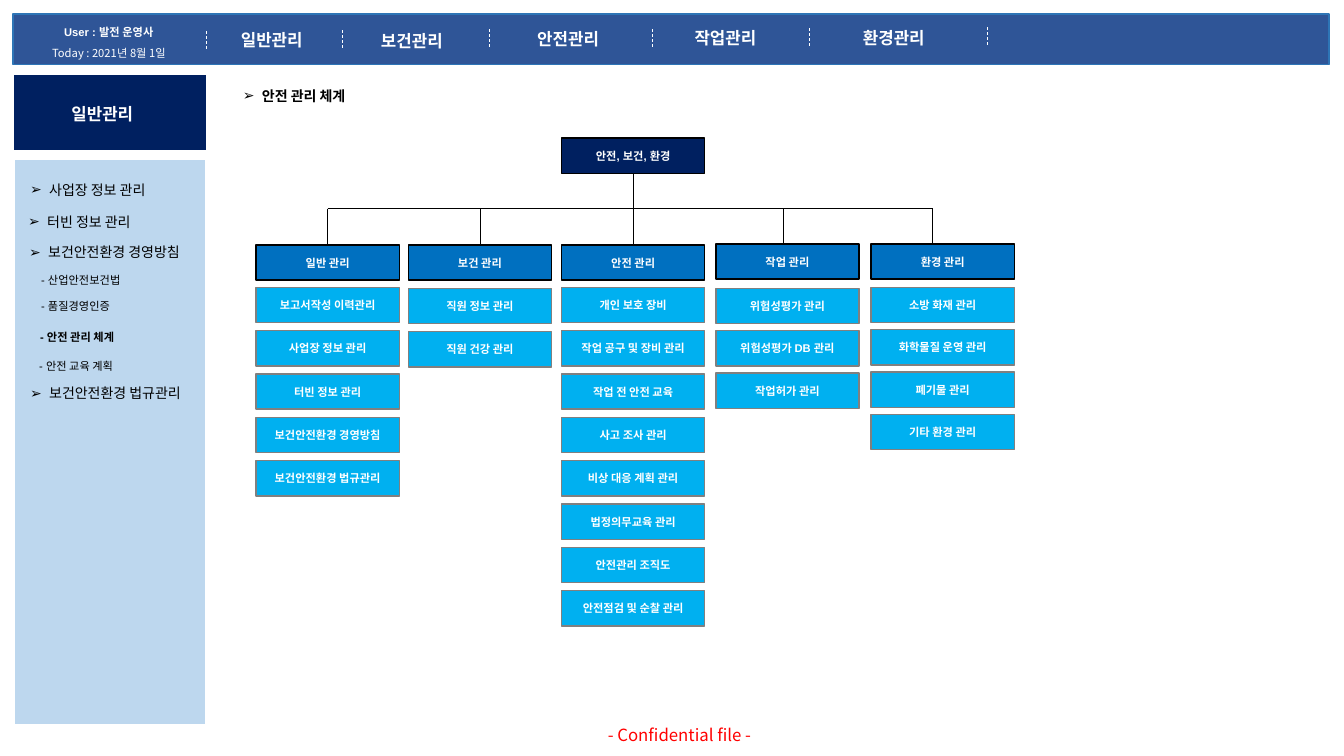
"""Build the safety management structure slide."""
from dataclasses import dataclass

from lxml import etree
from pptx import Presentation
from pptx.dml.color import RGBColor
from pptx.enum.dml import MSO_LINE_DASH_STYLE as Dash
from pptx.enum.shapes import MSO_CONNECTOR as Conn, MSO_SHAPE as Shape
from pptx.enum.text import MSO_ANCHOR as Anchor, MSO_AUTO_SIZE as AutoSize, PP_ALIGN as Align
from pptx.oxml.ns import qn
from pptx.util import Inches, Pt


@dataclass(frozen=True)
class Theme:
    navy: str = "002060"
    bar: str = "2F5597"
    bar_edge: str = "2E75B6"
    side: str = "BDD7EE"
    head: str = "0070C0"
    item: str = "00B0F0"
    grey: str = "808080"
    black: str = "000000"
    white: str = "FFFFFF"
    red: str = "FF0000"
    latin: str = "Arial"
    korean: str = "Noto Sans CJK KR"
    small: int = 8
    body: int = 10
    title: int = 12


@dataclass(frozen=True)
class Style:
    size: int
    color: str
    bold: bool = False
    font: str = "Arial"


@dataclass(frozen=True)
class Label:
    text: str
    x: float
    y: float
    w: float
    h: float
    style: Style
    bullet: bool = False


@dataclass(frozen=True)
class Divider:
    x: float
    y: float


@dataclass(frozen=True)
class Branch:
    name: str
    x: float
    y: float
    drop: float
    first: float
    pitch: float
    items: tuple[str, ...]


T = Theme()
NAV = Style(T.title, T.white, True)
BODY = Style(T.body, T.black)
SUB = Style(T.small, T.black)
BOX = Style(T.small, T.white, True)
BOX_W, BOX_H = 1.42, 0.35
ROOT_X, ROOT_Y, TRUNK_X, BUS_Y, DROP_END = 5.57, 1.37, 6.28, 2.07, 2.43

LABELS = (
    Label("안전 관리 체계", 2.31, 0.82, 5.4, 0.27, Style(T.body, T.black, True), True),
    Label("일반관리", 0.61, 0.98, 0.98, 0.3, NAV),
    Label("사업장 정보 관리", 0.2, 1.75, 1.54, 0.27, BODY, True),
    Label("터빈 정보 관리", 0.18, 2.07, 1.54, 0.27, BODY, True),
    Label("보건안전환경 경영방침", 0.19, 2.37, 1.9, 0.27, BODY, True),
    Label("- 산업안전보건법", 0.31, 2.66, 1.9, 0.24, SUB),
    Label("- 품질경영인증", 0.31, 2.92, 1.9, 0.24, SUB),
    Label("- 안전 관리 체계", 0.3, 3.23, 1.9, 0.24, Style(T.small, T.black, True)),
    Label("- 안전 교육 계획", 0.29, 3.52, 1.9, 0.24, SUB),
    Label("보건안전환경 법규관리", 0.2, 3.77, 1.9, 0.27, BODY, True),
    Label("일반관리", 2.29, 0.25, 0.98, 0.3, NAV),
    Label("보건관리", 3.68, 0.26, 0.98, 0.3, NAV),
    Label("안전관리", 5.23, 0.24, 0.98, 0.3, NAV),
    Label("작업관리", 6.79, 0.23, 1.53, 0.3, NAV),
    Label("환경관리", 8.46, 0.23, 0.98, 0.3, NAV),
    Label("- Confidential file -", 5.93, 7.14, 3.17, 0.3, Style(T.title, T.red, font=T.korean)),
)
DIVIDERS = (Divider(2.05, 0.31), Divider(3.4, 0.3), Divider(4.85, 0.29),
            Divider(6.47, 0.29), Divider(8.03, 0.28), Divider(9.79, 0.27))
BRANCHES = (
    Branch("일반 관리", 2.54, 2.43, 3.25, 2.85, 0.43,
           ("보고서작성 이력관리", "사업장 정보 관리", "터빈 정보 관리",
            "보건안전환경 경영방침", "보건안전환경 법규관리")),
    Branch("보건 관리", 4.05, 2.43, 4.76, 2.86, 0.43, ("직원 정보 관리", "직원 건강 관리")),
    Branch("안전 관리", 5.57, 2.43, TRUNK_X, 2.85, 0.43,
           ("개인 보호 장비", "작업 공구 및 장비 관리", "작업 전 안전 교육", "사고 조사 관리",
            "비상 대응 계획 관리", "법정의무교육 관리", "안전관리 조직도", "안전점검 및 순찰 관리")),
    Branch("작업 관리", 7.1, 2.42, 7.77, 2.86, 0.42,
           ("위험성평가 관리", "위험성평가 DB 관리", "작업허가 관리")),
    Branch("환경 관리", 8.64, 2.42, 9.25, 2.85, 0.42,
           ("소방 화재 관리", "화학물질 운영 관리", "폐기물 관리", "기타 환경 관리")),
)


def add_run(p, text: str, style: Style) -> None:
    """Append one styled run."""
    r = p.add_run()
    r.text = text
    r.font.size = Pt(style.size)
    r.font.bold = style.bold
    r.font.color.rgb = RGBColor.from_string(style.color)
    r.font.name = style.font
    etree.SubElement(r.font._element, qn("a:ea")).set("typeface", T.korean)


def add_bullet(p) -> None:
    """Give a paragraph an arrow bullet with a hanging indent."""
    pPr = p._p.get_or_add_pPr()
    pPr.set("marL", str(Inches(0.19)))
    pPr.set("indent", str(Inches(-0.19)))
    etree.SubElement(pPr, qn("a:buFont")).set("typeface", T.latin)
    etree.SubElement(pPr, qn("a:buChar")).set("char", "➢")


def add_rect(s, x: float, y: float, w: float, h: float, fill: str, edge: str, width: float):
    """Draw a filled rectangle and return it."""
    sp = s.shapes.add_shape(Shape.RECTANGLE, Inches(x), Inches(y), Inches(w), Inches(h))
    sp.shadow.inherit = False
    sp.fill.solid()
    sp.fill.fore_color.rgb = RGBColor.from_string(fill)
    sp.line.color.rgb = RGBColor.from_string(edge)
    sp.line.width = Pt(width)
    return sp


def add_box(s, text: str, x: float, y: float, fill: str, edge: str) -> None:
    """Draw one box of the chart."""
    tf = add_rect(s, x, y, BOX_W, BOX_H, fill, edge, 1).text_frame
    tf.vertical_anchor = Anchor.MIDDLE
    p = tf.paragraphs[0]
    p.alignment = Align.CENTER
    add_run(p, text, BOX)


def add_line(s, x1: float, y1: float, x2: float, y2: float, color: str, dashed: bool = False) -> None:
    """Draw a thin straight line."""
    sp = s.shapes.add_connector(Conn.STRAIGHT, Inches(x1), Inches(y1), Inches(x2), Inches(y2))
    sp.line.color.rgb = RGBColor.from_string(color)
    sp.line.width = Pt(0.5)
    if dashed:
        sp.line.dash_style = Dash.DASH
    etree.SubElement(sp._element.spPr, qn("a:effectLst"))


def add_frame(s, x: float, y: float, w: float, h: float):
    """Add a wrapping text box and return its frame."""
    tf = s.shapes.add_textbox(Inches(x), Inches(y), Inches(w), Inches(h)).text_frame
    tf.word_wrap = True
    tf.auto_size = AutoSize.SHAPE_TO_FIT_TEXT
    return tf


def add_label(s, label: Label) -> None:
    """Add a one-line label."""
    p = add_frame(s, label.x, label.y, label.w, label.h).paragraphs[0]
    if label.bullet:
        add_bullet(p)
    add_run(p, label.text, label.style)


def add_user(s) -> None:
    """Add the user and date lines."""
    tf = add_frame(s, 0.31, 0.14, 1.54, 0.48)
    lines = (("User : 발전 운영사", BOX),
             ("Today : 2021년 8월 1일", Style(T.small, T.white, font=T.korean)))
    for i, (text, style) in enumerate(lines):
        p = tf.add_paragraph() if i else tf.paragraphs[0]
        p.alignment = Align.CENTER
        p.line_spacing = 1.5
        add_run(p, text, style)


def add_branch(s, branch: Branch) -> None:
    """Draw a branch with its drop line, heading and items."""
    add_line(s, branch.drop, BUS_Y, branch.drop, DROP_END, T.black)
    add_box(s, branch.name, branch.x, branch.y, T.head, T.black)
    for i, item in enumerate(branch.items):
        add_box(s, item, branch.x, branch.first + i * branch.pitch, T.item, T.grey)


def main() -> None:
    """Build and save the slide."""
    prs = Presentation()
    prs.slide_width, prs.slide_height = Inches(13.33), Inches(7.5)
    s = prs.slides.add_slide(prs.slide_layouts[6])
    add_rect(s, 0.13, 0.73, 1.92, 0.77, T.navy, T.white, 1.5)
    add_rect(s, 0.14, 1.58, 1.9, 5.61, T.side, T.white, 1.5)
    add_rect(s, 0.13, 0.14, 13.05, 0.5, T.bar, T.bar_edge, 1)
    add_box(s, "안전, 보건, 환경", ROOT_X, ROOT_Y, T.navy, T.black)
    add_line(s, TRUNK_X, ROOT_Y + BOX_H, TRUNK_X, BUS_Y, T.black)
    add_line(s, BRANCHES[0].drop, BUS_Y, BRANCHES[-1].drop, BUS_Y, T.black)
    for branch in BRANCHES:
        add_branch(s, branch)
    for d in DIVIDERS:
        add_line(s, d.x, d.y, d.x, d.y + 0.19, T.white, True)
    for label in LABELS:
        add_label(s, label)
    add_user(s)
    prs.save("out.pptx")


if __name__ == "__main__":
    main()
